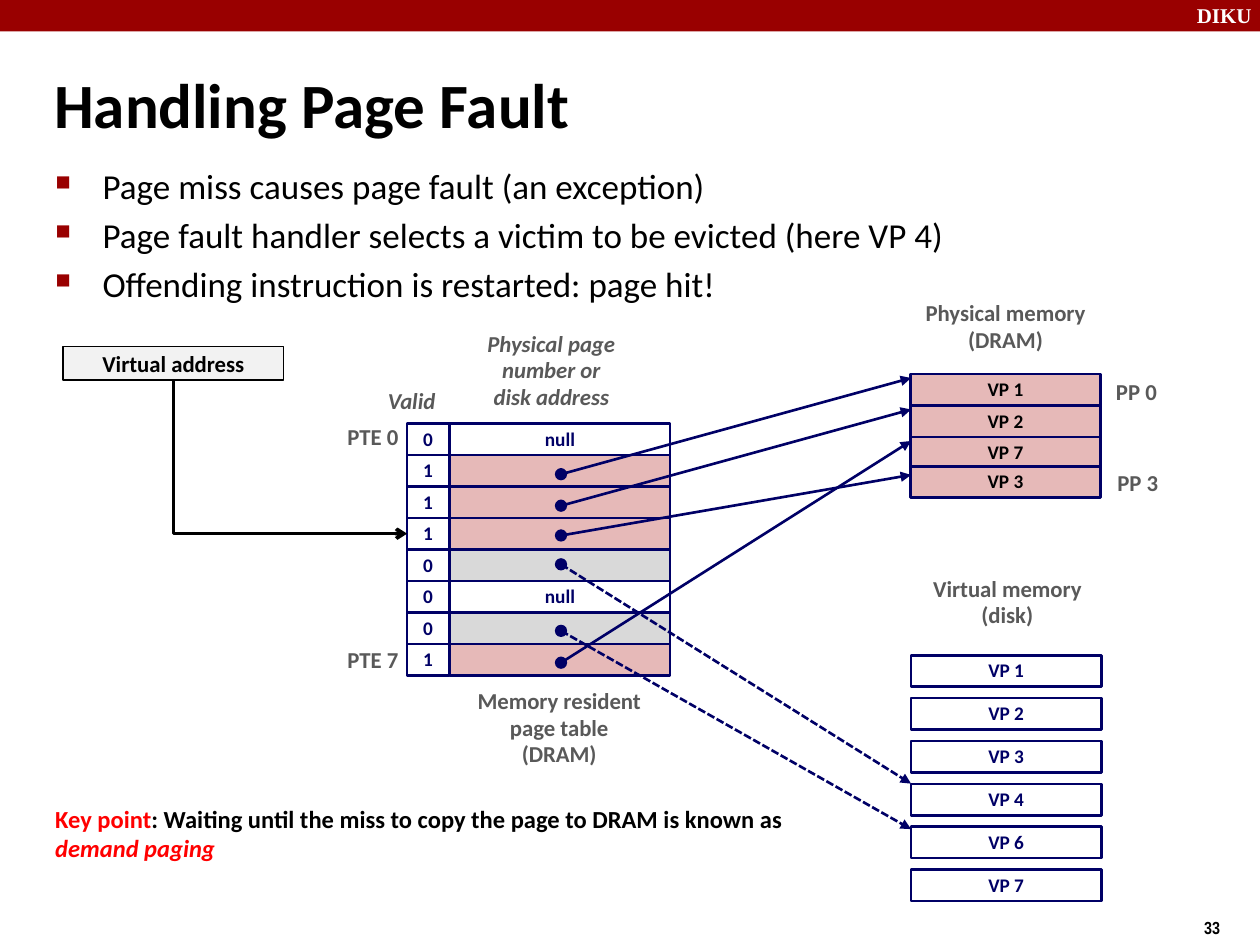
"""Build the slide that explains how a page fault is handled."""
from dataclasses import dataclass

from lxml.etree import SubElement
from pptx import Presentation
from pptx.dml.color import RGBColor
from pptx.enum.dml import MSO_LINE
from pptx.enum.shapes import MSO_CONNECTOR, MSO_SHAPE
from pptx.enum.text import MSO_ANCHOR, MSO_AUTO_SIZE, PP_ALIGN
from pptx.oxml.ns import qn
from pptx.util import Pt


@dataclass(frozen=True)
class Theme:
    font: str = "Calibri"
    black: str = "000000"
    white: str = "FFFFFF"
    crimson: str = "990000"
    navy: str = "000066"
    grey: str = "595959"
    red: str = "FF0000"
    resident: str = "E6B9B8"
    on_disk: str = "D9D9D9"
    address: str = "F2F2F2"
    title_size: float = 36
    bullet_size: float = 20
    key_size: float = 14
    label_size: float = 13
    cell_size: float = 11


THEME = Theme()
TITLE = "Handling Page Fault"
BULLETS = [
    "Page miss causes page fault (an exception)",
    "Page fault handler selects a victim to be evicted (here VP 4)",
    "Offending instruction is restarted: page hit!",
]
KEY_POINT = [
    ("Key point", {"color": THEME.red}),
    (": Waiting until the miss to copy the page to DRAM is known as ", {}),
    ("demand paging", {"color": THEME.red, "italic": True}),
]
PAGE_TABLE = [
    ("0", "null", None),
    ("1", "", (271, 216)),
    ("1", "", (289, 234)),
    ("1", "", (306, 271.4)),
    ("0", "", (322.5, 447.8)),
    ("0", "null", None),
    ("0", "", (360.5, 473.8)),
    ("1", "", (378.7, 252)),
]
PHYSICAL_PAGES = [("VP 1", 213.8), ("VP 2", 231.8), ("VP 7", 249.8), ("VP 3", 266.4)]
VIRTUAL_PAGES = ["VP 1", "VP 2", "VP 3", "VP 4", "VP 6", "VP 7"]
CENTER, RIGHT = PP_ALIGN.CENTER, PP_ALIGN.RIGHT
TOP, MIDDLE = MSO_ANCHOR.TOP, MSO_ANCHOR.MIDDLE
LABELS = [
    (["Memory resident", "page table", "(DRAM)"], (255, 389.5, 129, 64), {}),
    (["Physical memory", "(DRAM)"], (511.2, 167.8, 126.7, 45.4), {}),
    (["Virtual memory", "(disk)"], (516.2, 325.4, 118.8, 45.4), {}),
    (["Physical page", "number or", "disk address"], (262.8, 180, 104.4, 64),
     {"italic": True, "anchor": MIDDLE}),
    (["Valid"], (214.6, 218.2, 54, 26.6), {"italic": True, "align": PP_ALIGN.LEFT, "wrap": True}),
    (["PTE 0"], (185, 236.9, 49.7, 26.6), {"align": RIGHT, "anchor": MIDDLE}),
    (["PTE 7"], (185, 364.3, 49.7, 26.6), {"align": RIGHT, "anchor": MIDDLE}),
    (["PP 0"], (627.8, 211, 43.2, 26.6), {"anchor": MIDDLE}),
    (["PP 3"], (628.6, 262.8, 43.2, 26.6), {"anchor": MIDDLE}),
]
ROW_TOP, ROW_HEIGHT = 242, 18
VALID_LEFT, VALID_WIDTH = 232.6, 24
ENTRY_LEFT, ENTRY_WIDTH = 257, 126
MEMORY_LEFT, MEMORY_WIDTH = 520.2, 108.7
DISK_TOP, DISK_STEP = 374.4, 24.5
DOT_CENTER, DOT_SIZE = 320.6, 6


def rgb(value):
    return RGBColor.from_string(value)


def add_bullet(paragraph):
    properties = paragraph._p.get_or_add_pPr()
    properties.set("marL", str(Pt(27)))
    properties.set("indent", str(-Pt(27)))
    color = SubElement(properties, qn("a:buClr"))
    SubElement(color, qn("a:srgbClr")).set("val", THEME.crimson)
    SubElement(properties, qn("a:buSzPct")).set("val", "60000")
    SubElement(properties, qn("a:buChar")).set("char", "■")


def write_text(shape, lines, size=THEME.label_size, color=THEME.black, font=THEME.font, bold=True,
               italic=False, align=PP_ALIGN.LEFT, anchor=TOP, wrap=True, spacing=None,
               gap=0, bullet=False):
    frame = shape.text_frame
    frame.auto_size = MSO_AUTO_SIZE.NONE
    frame.word_wrap = wrap
    frame.vertical_anchor = anchor
    for index, line in enumerate(lines):
        paragraph = frame.paragraphs[0] if index == 0 else frame.add_paragraph()
        if bullet:
            add_bullet(paragraph)
        paragraph.alignment = align
        if spacing:
            paragraph.line_spacing = spacing
        paragraph.space_before = Pt(gap if index else 0)
        for text, changes in [(line, {})] if isinstance(line, str) else line:
            run = paragraph.add_run()
            run.text = text
            run.font.name = font
            run.font.size = Pt(size)
            run.font.bold = bold
            run.font.italic = changes.get("italic", italic)
            run.font.color.rgb = rgb(changes.get("color", color))


def add_text(slide, lines, box, **text_format):
    write_text(slide.shapes.add_textbox(*map(Pt, box)), lines, **text_format)


def add_box(slide, box, fill=None, line=THEME.navy, width=1.5, kind=MSO_SHAPE.RECTANGLE,
            text="", **text_format):
    shape = slide.shapes.add_shape(kind, *map(Pt, box))
    shape.shadow.inherit = False
    if fill:
        shape.fill.solid()
        shape.fill.fore_color.rgb = rgb(fill)
    else:
        shape.fill.background()
    if line:
        shape.line.color.rgb = rgb(line)
        shape.line.width = Pt(width)
    else:
        shape.line.fill.background()
    if text:
        write_text(shape, [text], align=CENTER, anchor=MIDDLE, **text_format)
    return shape


def add_cell(slide, box, fill, text="", color=THEME.navy):
    return add_box(slide, box, fill, text=text, size=THEME.cell_size, color=color,
                   wrap=False, spacing=0.98)


def add_arrow(slide, start, end, kind=MSO_CONNECTOR.STRAIGHT, color=THEME.navy, width=1.5,
              head="triangle", dashed=False):
    connector = slide.shapes.add_connector(kind, *map(Pt, start + end))
    connector.line.color.rgb = rgb(color)
    connector.line.width = Pt(width)
    if dashed:
        connector.line.dash_style = MSO_LINE.SQUARE_DOT
    SubElement(connector.line._get_or_add_ln(), qn("a:tailEnd")).set("type", head)
    SubElement(connector._element.spPr, qn("a:effectLst"))
    return connector


def add_corner_arrow(slide, source, target):
    connector = add_arrow(slide, (0, 0), (10, 10), kind=MSO_CONNECTOR.ELBOW,
                          color=THEME.black, width=2, head="arrow")
    connector.begin_connect(source, 2)
    connector.end_connect(target, 1)
    across, down = connector.width, connector.height
    shift = (across - down) // 2
    connector.left, connector.top = connector.left + shift, connector.top - shift
    connector.width, connector.height = down, across
    properties = connector._element.spPr
    properties.find(qn("a:prstGeom")).set("prst", "bentConnector2")
    transform = properties.find(qn("a:xfrm"))
    transform.set("rot", "16200000")
    transform.set("flipH", "1")


def add_page_table(slide):
    valid_cells = []
    for row, (valid, entry, pointer) in enumerate(PAGE_TABLE):
        top = ROW_TOP + row * ROW_HEIGHT
        fill = THEME.white
        if pointer:
            fill = THEME.resident if valid == "1" else THEME.on_disk
        add_cell(slide, (ENTRY_LEFT, top, ENTRY_WIDTH, ROW_HEIGHT), fill, entry)
        valid_cells.append(
            add_cell(slide, (VALID_LEFT, top, VALID_WIDTH, ROW_HEIGHT), None, valid))
    return valid_cells


def add_pointers(slide):
    for valid, _, pointer in PAGE_TABLE:
        if pointer:
            start, end = pointer
            add_arrow(slide, (DOT_CENTER, start), (MEMORY_LEFT + 0.4, end), dashed=valid == "0")
            dot = (DOT_CENTER - DOT_SIZE / 2, start - DOT_SIZE / 2, DOT_SIZE, DOT_SIZE)
            add_box(slide, dot, THEME.navy, width=1, kind=MSO_SHAPE.OVAL)


def main():
    presentation = Presentation()
    presentation.slide_width, presentation.slide_height = Pt(720), Pt(540)
    slide = presentation.slides.add_slide(presentation.slide_layouts[5])
    add_box(slide, (0, 0, 720, 18), THEME.crimson, line=None)
    add_text(slide, ["DIKU"], (676.8, -2, 48, 21.6), size=12, font="Times New Roman",
             color=THEME.white)
    add_text(slide, ["33"], (681, 520.6, 39, 19.4), size=10, font="Arial Narrow")
    title = slide.shapes.title
    title.left, title.top, title.width, title.height = map(Pt, (23.8, 28, 652.3, 62))
    write_text(title, [TITLE], size=THEME.title_size, anchor=MIDDLE)
    add_text(slide, BULLETS, (24.5, 90.7, 653.8, 90), size=THEME.bullet_size, bold=False,
             gap=4, bullet=True)
    valid_cells = add_page_table(slide)
    for name, top in PHYSICAL_PAGES:
        add_cell(slide, (MEMORY_LEFT, top, MEMORY_WIDTH, ROW_HEIGHT), THEME.resident, name,
                 THEME.black)
    for index, name in enumerate(VIRTUAL_PAGES):
        top = DISK_TOP + index * DISK_STEP
        add_cell(slide, (MEMORY_LEFT + 0.4, top, MEMORY_WIDTH, ROW_HEIGHT), THEME.white, name)
    add_pointers(slide)
    for lines, box, changes in LABELS:
        text_format = {"color": THEME.grey, "align": CENTER, "wrap": False, "spacing": 0.98}
        add_text(slide, lines, box, **(text_format | changes))
    address = add_box(slide, (36, 198, 126, 19), THEME.address, line=THEME.black, width=1,
                      text="Virtual address")
    add_corner_arrow(slide, address, valid_cells[3])
    add_text(slide, [KEY_POINT], (24.5, 455.8, 455.8, 50.4), size=THEME.key_size)
    presentation.save("out.pptx")


if __name__ == "__main__":
    main()
